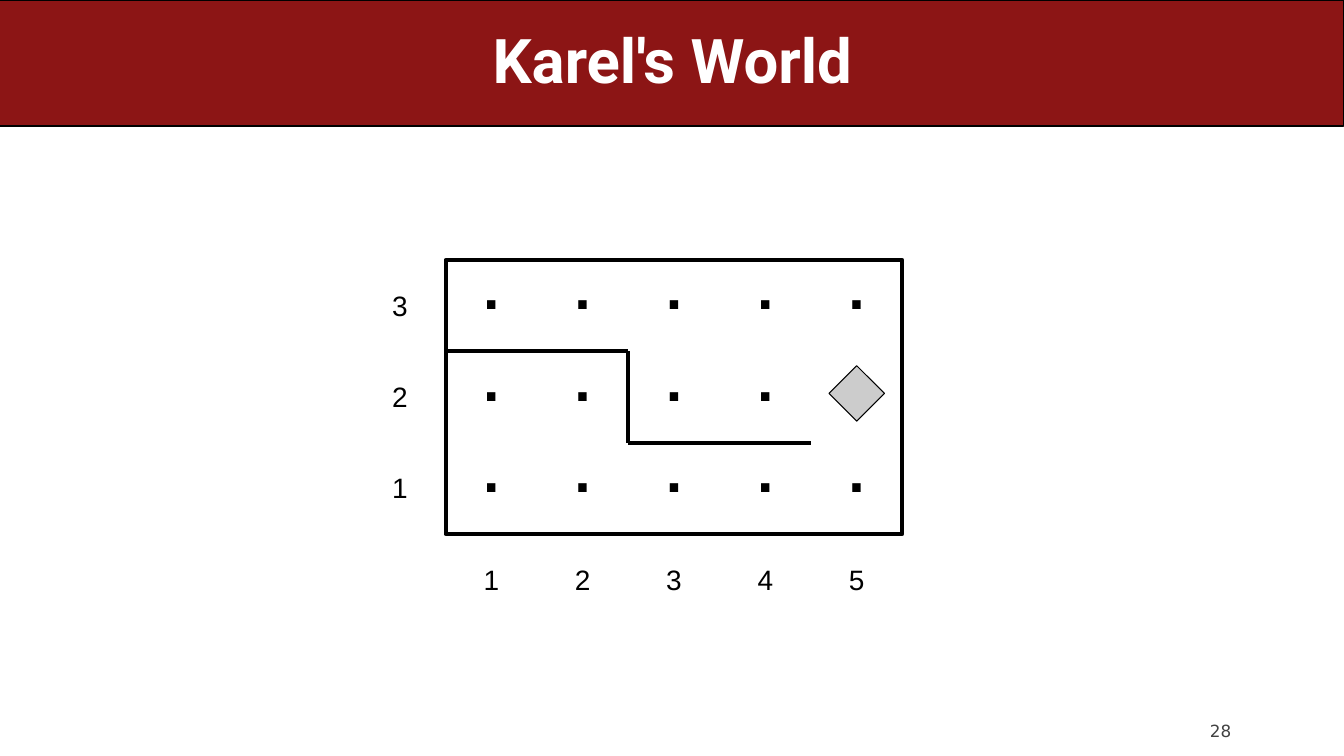
from lxml import etree
from pptx import Presentation
from pptx.dml.color import RGBColor
from pptx.enum.shapes import MSO_CONNECTOR, MSO_SHAPE
from pptx.enum.text import MSO_ANCHOR, PP_ALIGN
from pptx.oxml.ns import qn
from pptx.util import Inches, Pt

# Content: walls and beeper use grid units from the world's top left corner
TITLE = "Karel's World"
PAGE_NUMBER = "28"
STREETS = ["3", "2", "1"]
AVENUES = ["1", "2", "3", "4", "5"]
WALLS = [((2, 1), (2, 2)), ((2, 2), (4, 2)), ((0, 1), (2, 1))]
BEEPER_CENTER = (4.5, 1.46)

# Layout in inches
SLIDE_WIDTH, SLIDE_HEIGHT = 13.33, 7.5
HEADER_HEIGHT = SLIDE_HEIGHT / 6
WORLD_LEFT, WORLD_TOP = 4.42, 2.58
CELL = 4.53 / len(AVENUES)
BEEPER_SIZE = 0.55
WALL_WIDTH = 2.89

BLACK = RGBColor(0x00, 0x00, 0x00)
WHITE = RGBColor(0xFF, 0xFF, 0xFF)
CARDINAL = RGBColor(0x8C, 0x15, 0x15)
BEEPER_GRAY = RGBColor(0xCC, 0xCC, 0xCC)
NUMBER_GRAY = RGBColor(0x42, 0x42, 0x42)

presentation = Presentation()
presentation.slide_width = Inches(SLIDE_WIDTH)
presentation.slide_height = Inches(SLIDE_HEIGHT)
slide = presentation.slides.add_slide(presentation.slide_layouts[6])


def grid_x(column):
    return WORLD_LEFT + column * CELL


def grid_y(row):
    return WORLD_TOP + row * CELL


def add_box(kind, left, top, width, height, fill=None, line_width=None):
    shape = slide.shapes.add_shape(
        kind, Inches(left), Inches(top), Inches(width), Inches(height))
    shape.shadow.inherit = False
    if fill is None:
        shape.fill.background()
    else:
        shape.fill.solid()
        shape.fill.fore_color.rgb = fill
    if line_width is None:
        shape.line.fill.background()
    else:
        shape.line.color.rgb = BLACK
        shape.line.width = Pt(line_width)
    return shape


def add_textbox(left, top, width, height):
    return slide.shapes.add_textbox(
        Inches(left), Inches(top), Inches(width), Inches(height))


def write(shape, text, size, font_name="Arial", color=BLACK, bold=False,
          align=PP_ALIGN.CENTER, anchor=MSO_ANCHOR.MIDDLE, spacing=0.93,
          margins=(0.09, 0.06, 0.09, 0.04), wrap=False):
    frame = shape.text_frame
    frame.word_wrap = wrap
    frame.vertical_anchor = anchor
    (frame.margin_left, frame.margin_top,
     frame.margin_right, frame.margin_bottom) = map(Inches, margins)
    paragraph = frame.paragraphs[0]
    paragraph.text = text
    paragraph.alignment = align
    paragraph.line_spacing = spacing
    font = paragraph.font
    font.name, font.size, font.bold = font_name, Pt(size), bold
    font.color.rgb = color
    return paragraph


# Page number
write(add_textbox(12, 6.95, 1.11, 0.4), PAGE_NUMBER, 12, "DejaVu Sans",
      NUMBER_GRAY, align=PP_ALIGN.LEFT, anchor=MSO_ANCHOR.BOTTOM, spacing=1.0,
      margins=(0, 0, 0, 0), wrap=True)

# Header band and title
header = add_box(MSO_SHAPE.ROUNDED_RECTANGLE, 0, 0, SLIDE_WIDTH, HEADER_HEIGHT,
                 CARDINAL, 0.75)
header.adjustments[0] = 0
write(add_textbox(2.17, 0, 9, HEADER_HEIGHT), TITLE, 44, "Roboto", WHITE,
      bold=True, spacing=0.9, margins=(0, 0.01, 0, 0), wrap=True)

# Corners of the world, each marked by a raised dot
for column in range(len(AVENUES)):
    for row in range(len(STREETS)):
        corner = add_box(MSO_SHAPE.RECTANGLE, grid_x(column), grid_y(row),
                         CELL, CELL, WHITE)
        dot = write(corner, ".", 73, bold=True, margins=(0.09, 0.11, 0.09, 0.04))
        dot.runs[0].font.bold = True
        dot.runs[0]._r.get_or_add_rPr().set("baseline", "33000")

# Street and avenue numbers
labels = [(street, -1, row) for row, street in enumerate(STREETS)]
labels += [(avenue, column, len(STREETS)) for column, avenue in enumerate(AVENUES)]
for label, column, row in labels:
    write(add_textbox(grid_x(column), grid_y(row), CELL, CELL), label, 20)

# Beeper
beeper_column, beeper_row = BEEPER_CENTER
add_box(MSO_SHAPE.DIAMOND, grid_x(beeper_column) - BEEPER_SIZE / 2,
        grid_y(beeper_row) - BEEPER_SIZE / 2, BEEPER_SIZE, BEEPER_SIZE,
        BEEPER_GRAY, 0.75)

# Outer boundary and inner walls
add_box(MSO_SHAPE.RECTANGLE, WORLD_LEFT, WORLD_TOP, CELL * len(AVENUES),
        CELL * len(STREETS), line_width=WALL_WIDTH)
for (start_column, start_row), (end_column, end_row) in WALLS:
    wall = slide.shapes.add_connector(
        MSO_CONNECTOR.STRAIGHT,
        Inches(grid_x(start_column)), Inches(grid_y(start_row)),
        Inches(grid_x(end_column)), Inches(grid_y(end_row)))
    wall.line.color.rgb = BLACK
    wall.line.width = Pt(WALL_WIDTH)
    etree.SubElement(wall._element.spPr, qn("a:effectLst"))

presentation.save("out.pptx")
